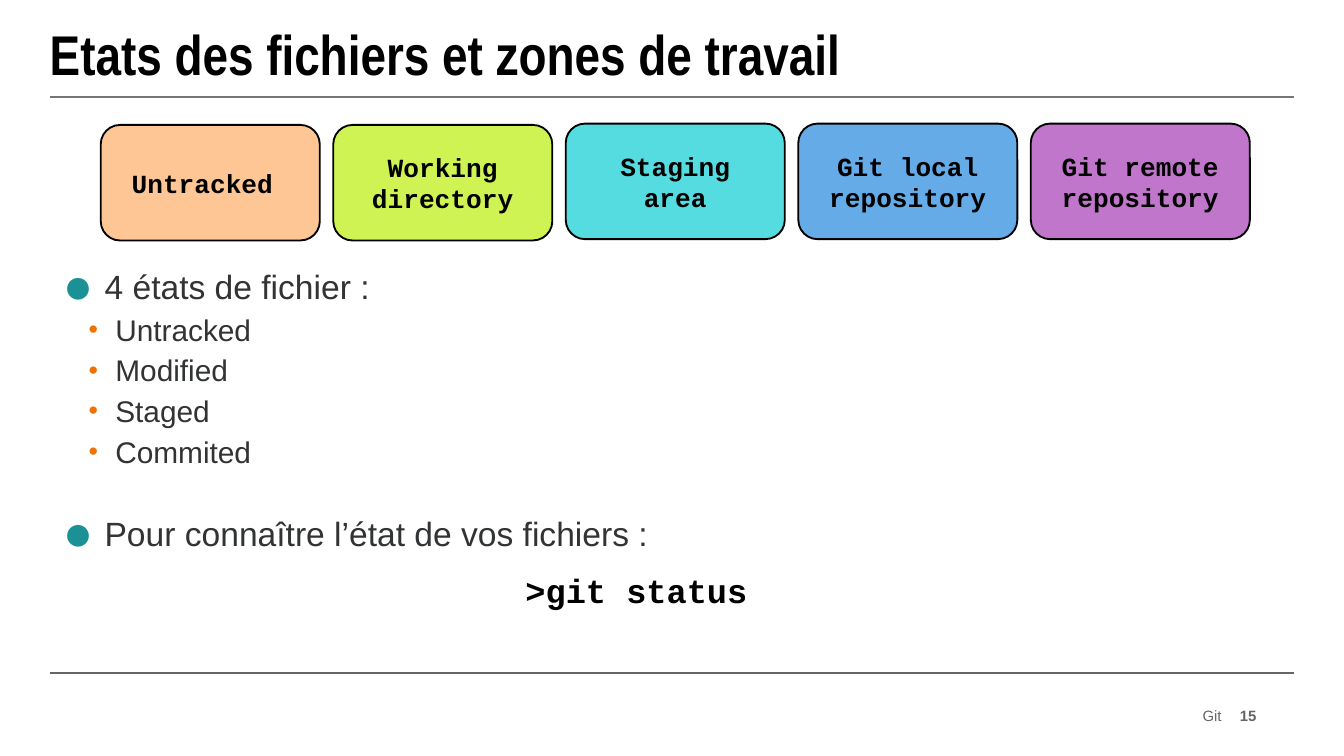
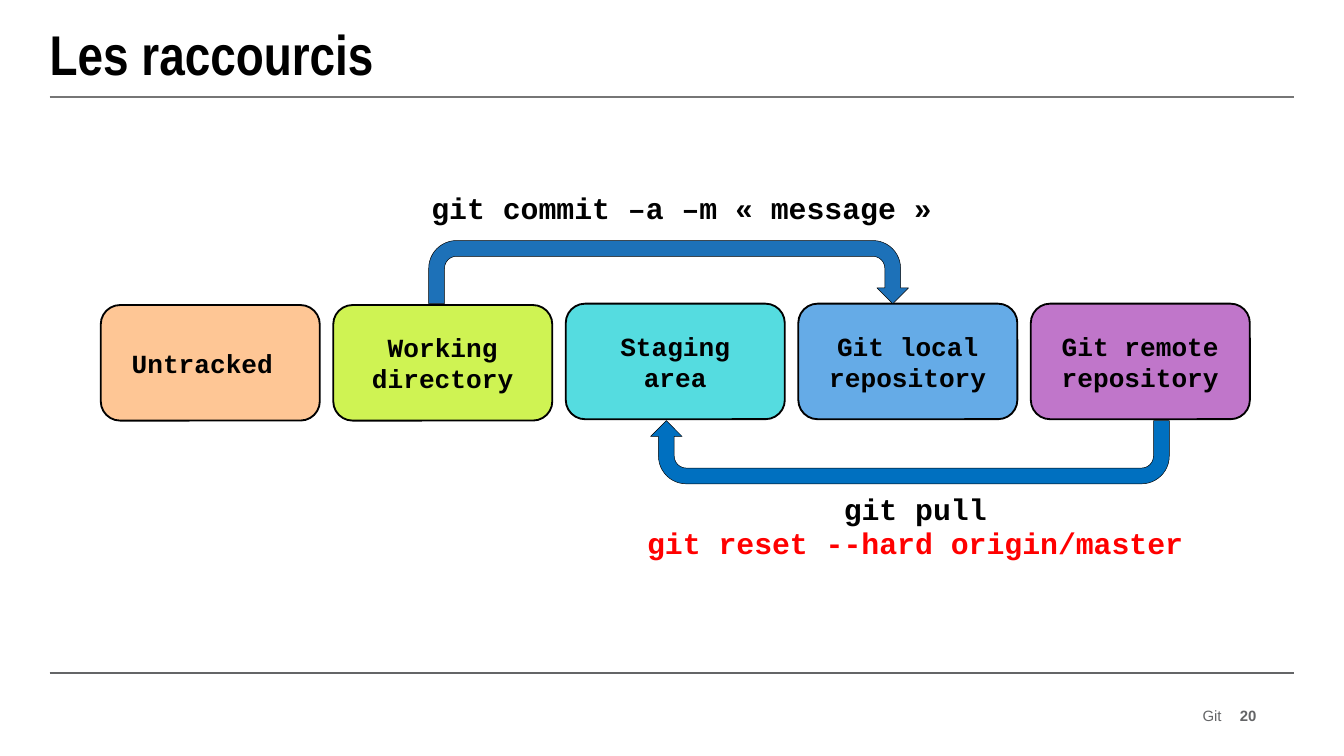
from lxml import etree
from pptx import Presentation
from pptx import util as u
from pptx.dml.color import RGBColor
from pptx.enum import shapes, text
from pptx.oxml.ns import qn

PX = 9144  # EMU in one px, 100 px to the inch
SANS, TITLE_FONT, MONO = "Arial", "Arial Narrow", "Courier New"
COLOURS = {
    "black": "000000", "white": "FFFFFF", "red": "FF0000", "body": "323334",
    "footer": "646567", "title rule": "767676",
    "teal": "1B9195", "orange": "EE7203",
    "untracked": "FEC695", "working": "CFF353", "staging": "55DCE0",
    "local": "65ABE7", "remote": "C076CA",
    "commit arrow": "1D71B8", "pull arrow": "0070C0",
}
RGB = {name: RGBColor.from_string(value) for name, value in COLOURS.items()}

# Zones: label, colour, offset from the top of the row
ZONES = [
    ("Untracked ", "untracked", 1), ("Working directory", "working", 1),
    ("Staging area", "staging", 0), ("Git local repository", "local", 0),
    ("Git remote repository", "remote", 0),
]
# Bullets: level, text, space before
BULLETS = [
    (0, "4 états de fichier :", 0),
    (1, "Untracked", 2.6), (1, "Modified", 2.6), (1, "Staged", 2.6), (1, "Commited", 2.6),
    (0, "Pour connaître l’état de vos fichiers :", 23.6),
]
# Level: size, left margin, hanging indent, bullet, colour, bullet size in %
LEVELS = [(18, 31, 31, "●", "teal", 150), (16, 39, 20, "•", "orange", 90)]

LEFT, CENTER, RIGHT = text.PP_ALIGN.LEFT, text.PP_ALIGN.CENTER, text.PP_ALIGN.RIGHT
# Commands: frame, size, alignment, lines with colours
# Arrows: frame, rotation, colour
PAGES = [
    {"title": "Etats des fichiers et zones de travail", "number": "15",
     "zones top": 92, "bullets": BULLETS, "arrows": [],
     "commands": [((366, 423, 218, 40), 18, LEFT, [(" >git status", "black")])]},
    {"title": "Les raccourcis", "number": "20",
     "zones top": 226, "bullets": [],
     "arrows": [((319, 179, 357, 47), 0, "commit arrow"),
                ((484, 313, 386, 47), 180, "pull arrow")],
     "commands": [
         ((311, 140, 412, 39), 16, LEFT, [("git commit –a –m « message »", "black")]),
         ((421, 364, 520, 63), 16, CENTER,
          [("git pull", "black"), ("git reset --hard origin/master", "red")])]},
]


def px(*lengths):
    return [u.Emu(length * PX) for length in lengths]


def style(para, font, size, colour, bold=False, align=LEFT):
    para.alignment = align
    for span in para.runs:
        span.font.name, span.font.size, span.font.bold = font, u.Pt(size), bold
        span.font.color.rgb = RGB[colour]


deck = Presentation()
deck.slide_width, deck.slide_height = u.Inches(10), u.Inches(5.625)

for content in PAGES:
    page = deck.slides.add_slide(deck.slide_layouts[5])

    # Rules below the title and above the footer
    for y, colour in ((501, "footer"), (72, "title rule")):
        rule = page.shapes.add_connector(shapes.MSO_CONNECTOR.STRAIGHT, *px(37, y, 963, y))
        rule.line.color.rgb, rule.line.width = RGB[colour], u.Pt(1)
        etree.SubElement(rule._element.spPr, qn("a:effectLst"))

    # Title and footer
    title = page.shapes.title
    title.left, title.top, title.width, title.height = px(37, 9, 925, 61)
    course = page.shapes.add_textbox(*px(689, 525, 220, 15))
    number = page.shapes.add_textbox(*px(915, 525, 20, 15))
    for box, words, look in (
        (title, content["title"], (TITLE_FONT, 30, "black", True)),
        (course, "Git", (SANS, 8, "footer", False, RIGHT)),
        (number, content["number"], (SANS, 8, "footer", True, RIGHT)),
    ):
        frame = box.text_frame
        frame.text = words
        frame.word_wrap, frame.auto_size = True, text.MSO_AUTO_SIZE.NONE
        frame.vertical_anchor = text.MSO_ANCHOR.MIDDLE
        frame.margin_left = frame.margin_top = frame.margin_right = frame.margin_bottom = 0
        style(frame.paragraphs[0], *look)

    # Bulleted list
    if content["bullets"]:
        frame = page.shapes.add_textbox(*px(37, 93, 565, 392)).text_frame
        frame.word_wrap = True
        frame.margin_top = u.Emu(105 * PX)
        for index, (level, words, before) in enumerate(content["bullets"]):
            size, margin, hanging, mark, colour, percent = LEVELS[level]
            para = frame.add_paragraph() if index else frame.paragraphs[0]
            para.text, para.level, para.space_before = words, level, u.Pt(before)
            props = para._p.get_or_add_pPr()
            props.set("marL", str(margin * PX))
            props.set("indent", str(-hanging * PX))
            tint = etree.SubElement(props, qn("a:buClr"))
            etree.SubElement(tint, qn("a:srgbClr"), val=COLOURS[colour])
            etree.SubElement(props, qn("a:buSzPct"), val=str(percent * 1000))
            etree.SubElement(props, qn("a:buFont"), typeface=SANS)
            etree.SubElement(props, qn("a:buChar"), char=mark)
            style(para, SANS, size, "body")

    # Row of zones
    for column, (label, colour, offset) in enumerate(ZONES):
        zone = page.shapes.add_shape(
            shapes.MSO_SHAPE.ROUNDED_RECTANGLE,
            *px(75 + 173 * column, content["zones top"] + offset, 163, 86))
        zone.shadow.inherit = False
        zone.fill.solid()
        zone.fill.fore_color.rgb = RGB[colour]
        zone.line.color.rgb, zone.line.width = RGB["black"], u.Pt(1)
        frame = zone.text_frame
        frame.text, frame.word_wrap = label, True
        frame.vertical_anchor = text.MSO_ANCHOR.MIDDLE
        frame.margin_left, frame.margin_top, frame.margin_right, frame.margin_bottom = px(10, 10, 10, 10)
        style(frame.paragraphs[0], MONO, 14, "black", True, CENTER)

    # Commands in one-cell tables with white borders
    for place, size, align, lines in content["commands"]:
        cell = page.shapes.add_table(1, 1, *px(*place)).table.cell(0, 0)
        cell.text = "\n".join(words for words, colour in lines)
        for para, (words, colour) in zip(cell.text_frame.paragraphs, lines):
            style(para, MONO, size, colour, True, align)
        props = cell._tc.get_or_add_tcPr()
        for side, width in (("L", 1), ("R", 1), ("T", 1), ("B", 3)):
            border = etree.SubElement(props, qn("a:ln" + side), w=str(u.Pt(width)))
            paint = etree.SubElement(border, qn("a:solidFill"))
            etree.SubElement(paint, qn("a:srgbClr"), val=COLOURS["white"])
        cell.fill.background()

    # Shortcut arrows
    for place, rotation, colour in content["arrows"]:
        arrow = page.shapes.add_shape(shapes.MSO_SHAPE.U_TURN_ARROW, *px(*place))
        arrow.shadow.inherit = False
        arrow.rotation = rotation
        for index, value in enumerate((0.25, 0.25, 0.25, 0.44, 1)):
            arrow.adjustments[index] = value
        arrow.fill.solid()
        arrow.fill.fore_color.rgb = RGB[colour]
        arrow.line.color.rgb, arrow.line.width = RGB["black"], u.Pt(0.25)

deck.save("out.pptx")
